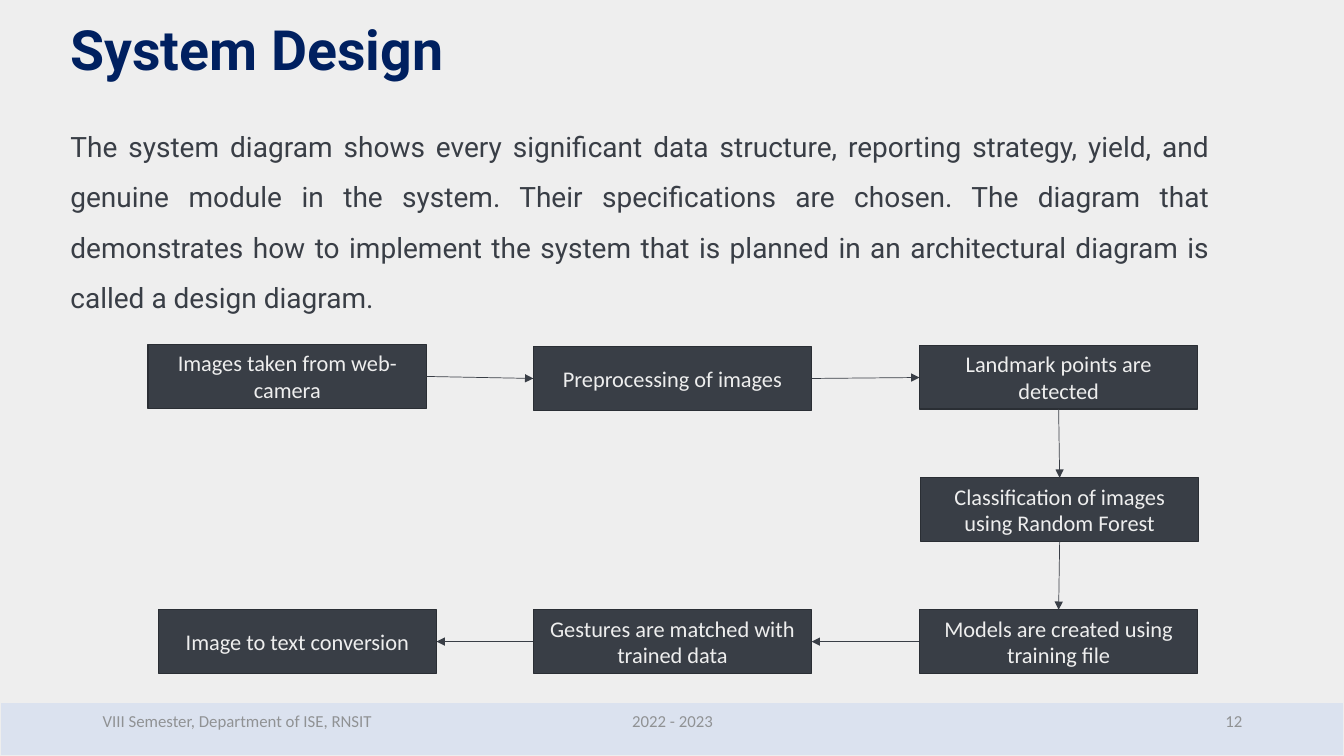
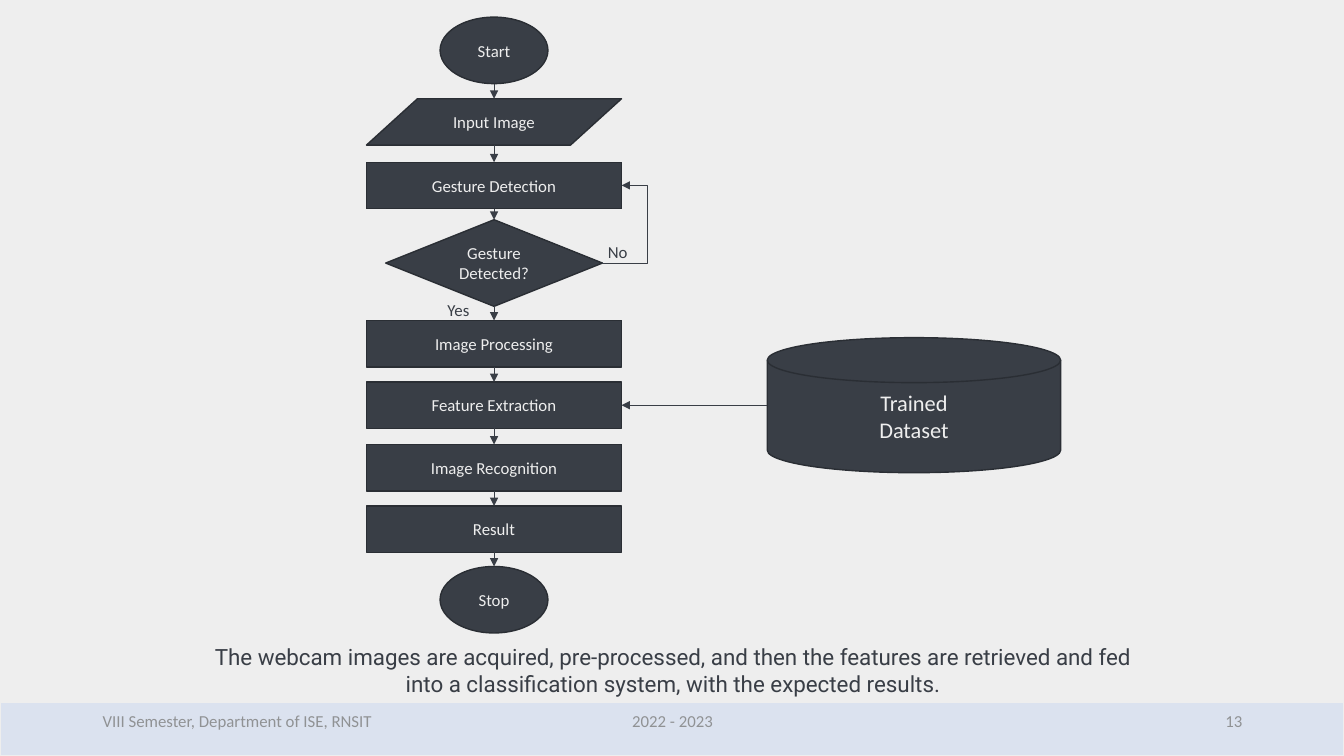
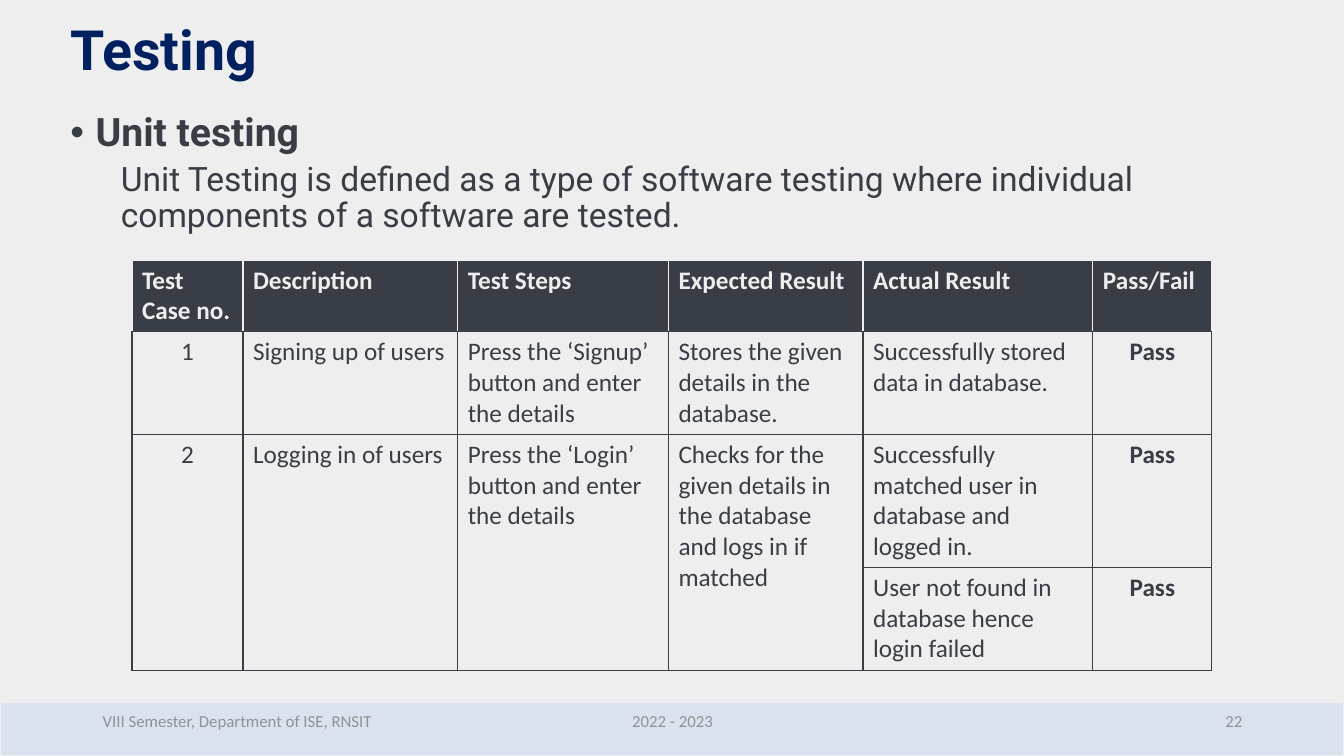
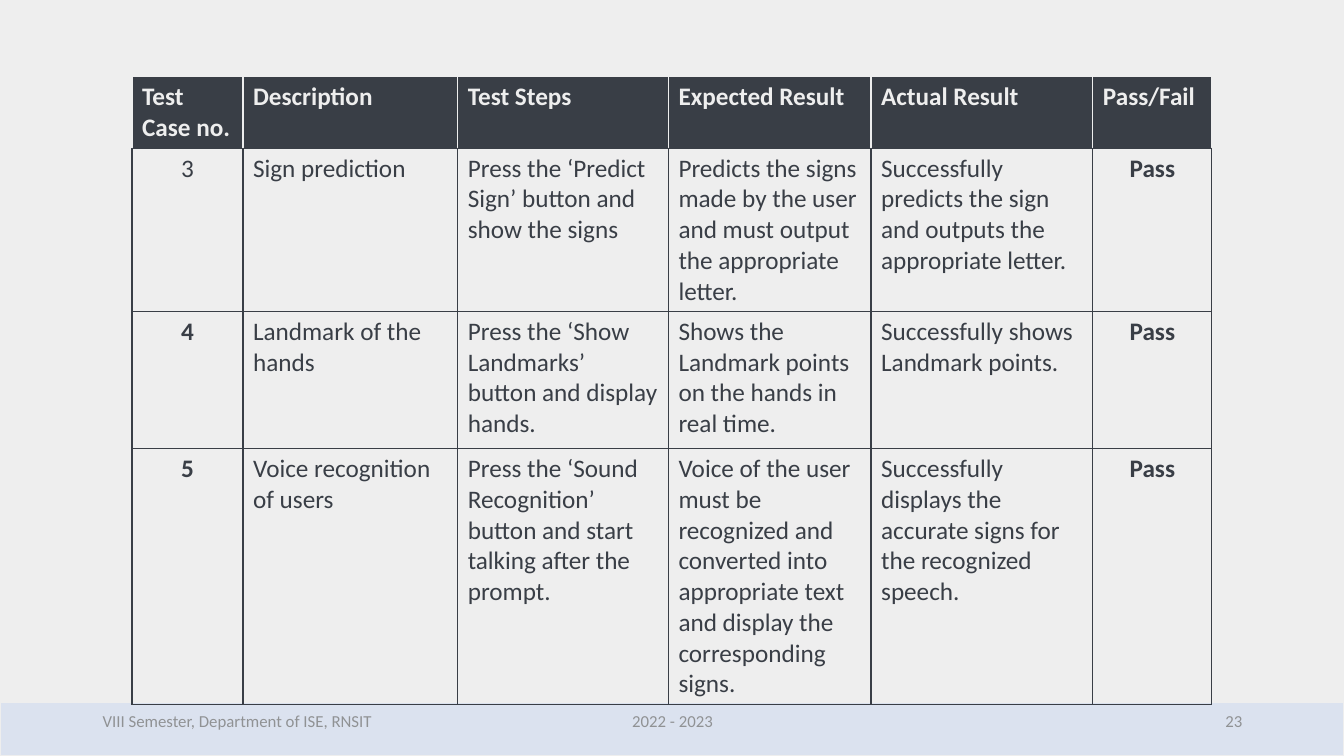
from itertools import pairwise

from lxml import etree
from pptx import Presentation
from pptx.dml.color import RGBColor
from pptx.enum.shapes import MSO_CONNECTOR, MSO_SHAPE
from pptx.enum.text import MSO_ANCHOR, PP_ALIGN
from pptx.oxml.ns import qn
from pptx.util import Inches, Pt

COLORS = {
    "background": "EEEEEE",
    "band": "DBE2EF",
    "title": "002060",
    "dark": "393E46",
    "outline": "2A2E34",
    "light": "EEEEEE",
    "footer": "909294",
}
HEADING_FONT, BODY_FONT = "Roboto", "Calibri"
SLIDE_W, SLIDE_H = 13.33, 7.5
BAND_TOP = 6.97
CONTENT_LEFT, CONTENT_W = 0.6, 11.5

# Test tables
TABLE_LEFT = 1.31
TABLE_HEADER = ["Test Case no.", "Description", "Test Steps",
                "Expected Result", "Actual Result", "Pass/Fail"]
UNIT_TESTS = [
    ["1", "Signing up of users", "Press the ‘Signup’ button and enter the details",
     "Stores the given details in the database.",
     "Successfully stored data in database.", "Pass"],
    ["2", "Logging in of users", "Press the ‘Login’ button and enter the details",
     "Checks for the given details in the database and logs in if matched",
     "Successfully matched user in database and logged in.", "Pass"],
    ["", "", "", "", "User not found in database hence login failed", "Pass"],
]
SIGN_TESTS = [
    ["3", "Sign prediction", "Press the ‘Predict Sign’ button and show the signs",
     "Predicts the signs made by the user and must output the appropriate letter.",
     "Successfully predicts the sign and outputs the appropriate letter.", "Pass"],
    ["4", "Landmark of the hands", "Press the ‘Show Landmarks’ button and display hands.",
     "Shows the Landmark points on the hands in real time.",
     "Successfully shows Landmark points.", "Pass"],
    ["5", "Voice recognition of users",
     "Press the ‘Sound Recognition’ button and start talking after the prompt.",
     "Voice of the user must be recognized and converted into appropriate text "
     "and display the corresponding signs.",
     "Successfully displays the accurate signs for the recognized speech.", "Pass"],
]


def rgb(name):
    return RGBColor.from_string(COLORS[name])


def style(paragraph, size, color, font=BODY_FONT, bold=False, align=PP_ALIGN.LEFT):
    paragraph.alignment = align
    for run in paragraph.runs:
        run.font.size = Pt(size)
        run.font.name = font
        run.font.bold = bold
        run.font.color.rgb = rgb(color)


def add_text(slide, text, left, top, width, height, size, color,
             anchor=MSO_ANCHOR.TOP, **look):
    """Add a wrapped text box and return its text frame."""
    frame = slide.shapes.add_textbox(
        Inches(left), Inches(top), Inches(width), Inches(height)).text_frame
    frame.word_wrap = True
    frame.vertical_anchor = anchor
    frame.text = text
    for paragraph in frame.paragraphs:
        style(paragraph, size, color, **look)
    return frame


def add_node(slide, kind, text, left, top, width, height, size,
             fill="dark", outline="outline"):
    node = slide.shapes.add_shape(
        kind, Inches(left), Inches(top), Inches(width), Inches(height))
    node.shadow.inherit = False
    node.fill.solid()
    node.fill.fore_color.rgb = rgb(fill)
    node.line.color.rgb = rgb(outline)
    node.line.width = Pt(1)
    if text:
        node.text_frame.word_wrap = True
        node.text_frame.vertical_anchor = MSO_ANCHOR.MIDDLE
        node.text_frame.text = text
        for paragraph in node.text_frame.paragraphs:
            style(paragraph, size, "light", align=PP_ALIGN.CENTER)
    return node


def side(node, name):
    """Middle of one side of a node."""
    center_x, center_y = node.left + node.width // 2, node.top + node.height // 2
    return {
        "left": (node.left, center_y),
        "right": (node.left + node.width, center_y),
        "top": (center_x, node.top),
        "bottom": (center_x, node.top + node.height),
    }[name]


def add_arrow(slide, start, end, kind=MSO_CONNECTOR.STRAIGHT):
    arrow = slide.shapes.add_connector(kind, *start, *end)
    arrow.line.color.rgb = rgb("dark")
    arrow.line.width = Pt(0.5)
    etree.SubElement(arrow.line._get_or_add_ln(), qn("a:tailEnd"), type="triangle")
    etree.SubElement(arrow._element.spPr, qn("a:effectLst"))
    return arrow


def set_borders(cell, **edges):
    properties = cell._tc.get_or_add_tcPr()
    for position, (edge, color) in enumerate(edges.items()):
        line = etree.Element(qn(f"a:ln{edge}"), w=str(Pt(1)))
        fill = etree.SubElement(line, qn("a:solidFill"))
        etree.SubElement(fill, qn("a:srgbClr"), val=COLORS[color])
        properties.insert(position, line)


def add_test_table(slide, tests, top, widths, heights, bold_numbers=()):
    table = slide.shapes.add_table(
        len(heights), len(widths), Inches(TABLE_LEFT), Inches(top),
        Inches(sum(widths)), Inches(sum(heights))).table
    table.horz_banding = False
    for column, width in zip(table.columns, widths):
        column.width = Inches(width)
    for row, height in zip(table.rows, heights):
        row.height = Inches(height)

    last = len(widths) - 1
    for r, texts in enumerate([TABLE_HEADER, *tests]):
        for c, text in enumerate(texts):
            cell = table.cell(r, c)
            cell.text = text
            header = r == 0
            if header:
                cell.fill.solid()
                cell.fill.fore_color.rgb = rgb("dark")
            else:
                cell.fill.background()
            style(cell.text_frame.paragraphs[0], 18, "light" if header else "dark",
                  bold=header or c == last or text in bold_numbers,
                  align=PP_ALIGN.CENTER if not header and c in (0, last)
                  else PP_ALIGN.LEFT)
            edge = "light" if header else "dark"
            set_borders(cell, L=edge, R=edge, T=edge if header else "dark", B="dark")
    return table


def add_slide(prs, number, title=None):
    """Start a slide with its footer band and optional title."""
    slide = prs.slides.add_slide(prs.slide_layouts[6])
    add_node(slide, MSO_SHAPE.RECTANGLE, "", 0, BAND_TOP, SLIDE_W, SLIDE_H - BAND_TOP,
             12, "band", "light")
    for text, left, width, align in [
        ("VIII Semester, Department of ISE, RNSIT", 0.92, 3.5, PP_ALIGN.LEFT),
        ("2022 - 2023", 4.42, 4.5, PP_ALIGN.CENTER),
        (str(number), 9.42, 3, PP_ALIGN.RIGHT),
    ]:
        add_text(slide, text, left, 6.95, width, 0.4, 12, "footer",
                 MSO_ANCHOR.MIDDLE, align=align)
    if title:
        heading = add_text(slide, title, CONTENT_LEFT, 0.18, CONTENT_W, 0.76, 39.6,
                           "title", font=HEADING_FONT, bold=True)
        heading.paragraphs[0].line_spacing = 0.9
    return slide


def build_system_design(prs):
    slide = add_slide(prs, 12, "System Design")
    summary = add_text(
        slide,
        "The system diagram shows every significant data structure, reporting strategy, "
        "yield, and genuine module in the system. Their specifications are chosen. "
        "The diagram that demonstrates how to implement the system that is planned in "
        "an architectural diagram is called a design diagram.",
        CONTENT_LEFT, 1.07, CONTENT_W, 2.2, 20, "dark",
        font=HEADING_FONT, align=PP_ALIGN.JUSTIFY)
    summary.paragraphs[0].line_spacing = 1.5

    # Stages, each with the sides its arrow to the next stage joins
    stages = [
        ("Images taken from web-camera", 1.47, 3.42),
        ("Preprocessing of images", 5.29, 3.44),
        ("Landmark points are detected", 9.12, 3.43),
        ("Classification of images using Random Forest", 9.13, 4.74),
        ("Models are created using training file", 9.12, 6.05),
        ("Gestures are matched with trained data", 5.29, 6.05),
        ("Image to text conversion", 1.57, 6.05),
    ]
    nodes = [add_node(slide, MSO_SHAPE.FLOWCHART_PROCESS, text, left, top, 2.76, 0.63, 16)
             for text, left, top in stages]
    routes = [("right", "left")] * 2 + [("bottom", "top")] * 2 + [("left", "right")] * 2
    for (source, target), (leave, enter) in zip(pairwise(nodes), routes):
        add_arrow(slide, side(source, leave), side(target, enter))


def build_flowchart(prs):
    slide = add_slide(prs, 13)
    add_text(slide,
             "The webcam images are acquired, pre-processed, and then the features are "
             "retrieved and fed into a classification system, with the expected results.",
             1.99, 6.33, 9.37, 0.64, 16, "dark",
             font=HEADING_FONT, align=PP_ALIGN.CENTER)

    # Main column of steps
    center = 4.9
    sizes = {
        MSO_SHAPE.OVAL: (1.07, 0.66),
        MSO_SHAPE.FLOWCHART_DATA: (2.53, 0.46),
        MSO_SHAPE.FLOWCHART_PROCESS: (2.53, 0.46),
        MSO_SHAPE.FLOWCHART_DECISION: (2.15, 0.86),
    }
    steps = [
        ("Start", MSO_SHAPE.OVAL, 0.17),
        ("Input Image", MSO_SHAPE.FLOWCHART_DATA, 0.98),
        ("Gesture Detection", MSO_SHAPE.FLOWCHART_PROCESS, 1.61),
        ("Gesture Detected?", MSO_SHAPE.FLOWCHART_DECISION, 2.18),
        ("Image Processing", MSO_SHAPE.FLOWCHART_PROCESS, 3.18),
        ("Feature Extraction", MSO_SHAPE.FLOWCHART_PROCESS, 3.79),
        ("Image Recognition", MSO_SHAPE.FLOWCHART_PROCESS, 4.41),
        ("Result", MSO_SHAPE.FLOWCHART_PROCESS, 5.02),
        ("Stop", MSO_SHAPE.OVAL, 5.62),
    ]
    nodes = {}
    for text, kind, top in steps:
        width, height = sizes[kind]
        nodes[text] = add_node(slide, kind, text, center - width / 2, top,
                               width, height, 12)
    for source, target in pairwise(nodes.values()):
        add_arrow(slide, side(source, "bottom"), side(target, "top"))

    # Trained data feeding the extraction step
    dataset = add_node(slide, MSO_SHAPE.FLOWCHART_MAGNETIC_DISK, "Trained\nDataset",
                       7.61, 3.35, 2.91, 1.34, 16)
    add_arrow(slide, side(dataset, "left"), side(nodes["Feature Extraction"], "right"))

    # Loop back when no gesture is found
    start = side(nodes["Gesture Detected?"], "right")
    end = side(nodes["Gesture Detection"], "right")
    retry = add_arrow(slide, start, end, MSO_CONNECTOR.ELBOW)
    bend = (Inches(6.42) - start[0]) / (end[0] - start[0])
    adjustments = retry._element.spPr.find(qn("a:prstGeom")).get_or_add_avLst()
    etree.SubElement(adjustments, qn("a:gd"), name="adj1",
                     fmla=f"val {round(bend * 100000)}")
    for answer, left, top in [("Yes", 4.34, 2.92), ("No", 5.93, 2.35)]:
        add_text(slide, answer, left, top, 0.47, 0.3, 12, "dark")


def build_unit_testing(prs):
    slide = add_slide(prs, 22, "Testing")
    intro = add_text(
        slide,
        "Unit testing\nUnit Testing is defined as a type of software testing where "
        "individual components of a software are tested.",
        CONTENT_LEFT, 1.07, CONTENT_W, 1.4, 24, "dark", font=HEADING_FONT)
    topic, definition = intro.paragraphs
    for paragraph, margin, indent in [(topic, 0.25, -0.25), (definition, 0.5, 0)]:
        paragraph.line_spacing = 0.9
        properties = paragraph._p.get_or_add_pPr()
        properties.set("marL", str(Inches(margin)))
        properties.set("indent", str(Inches(indent)))
    definition.space_before = Pt(5)
    bullet = topic._p.get_or_add_pPr()
    etree.SubElement(bullet, qn("a:buFont"), typeface="Arial")
    etree.SubElement(bullet, qn("a:buChar"), char="•")
    style(topic, 28, "dark", HEADING_FONT, bold=True)

    table = add_test_table(slide, UNIT_TESTS, 2.58,
                           [1.1, 2.13, 2.09, 1.93, 2.28, 1.18],
                           [0.71, 1.02, 1.32, 1.02])
    for column in range(4):
        table.cell(2, column).merge(table.cell(3, column))


def build_sign_testing(prs):
    slide = add_slide(prs, 23)
    add_test_table(slide, SIGN_TESTS, 0.76,
                   [1.1, 2.13, 2.09, 2.01, 2.2, 1.18],
                   [0.71, 1.62, 1.36, 2.54], bold_numbers=("4", "5"))


def main():
    prs = Presentation()
    prs.slide_width, prs.slide_height = Inches(SLIDE_W), Inches(SLIDE_H)
    backdrop = prs.slide_master.background.fill
    backdrop.solid()
    backdrop.fore_color.rgb = rgb("background")
    build_system_design(prs)
    build_flowchart(prs)
    build_unit_testing(prs)
    build_sign_testing(prs)
    prs.save("out.pptx")


if __name__ == "__main__":
    main()
